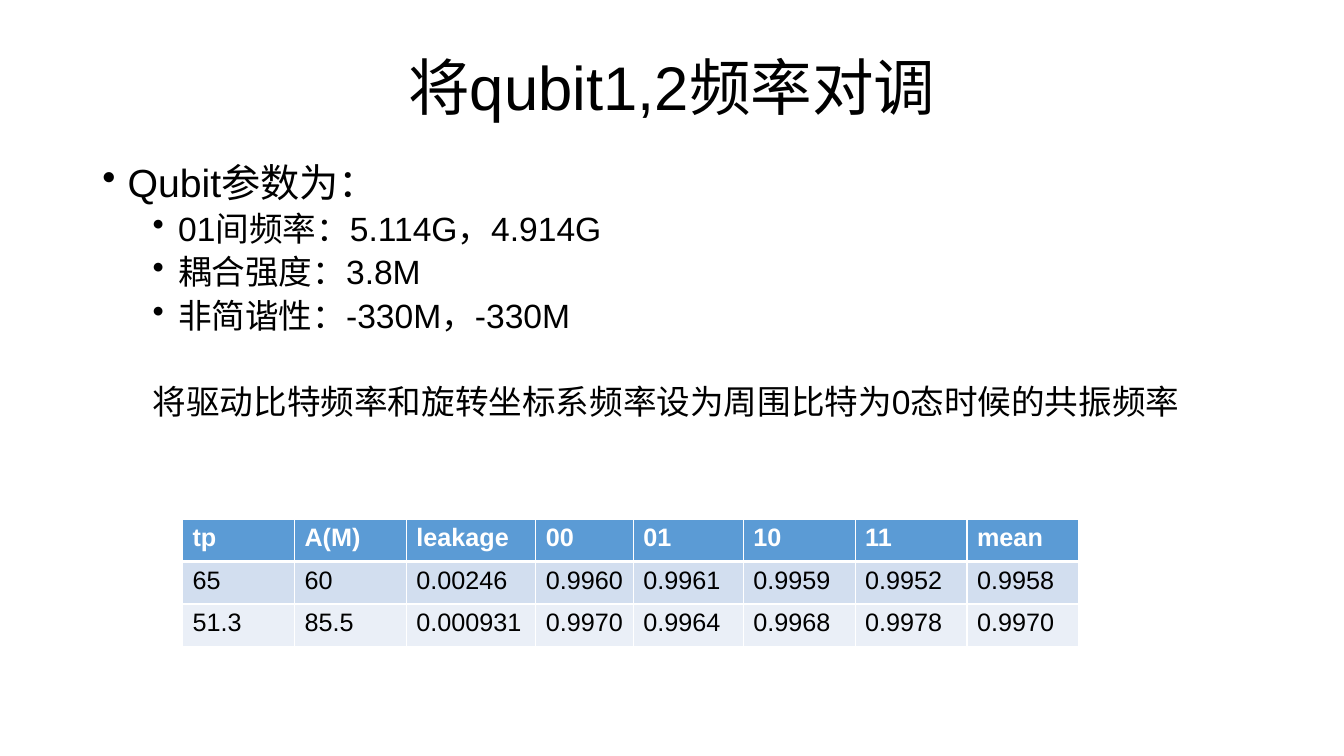
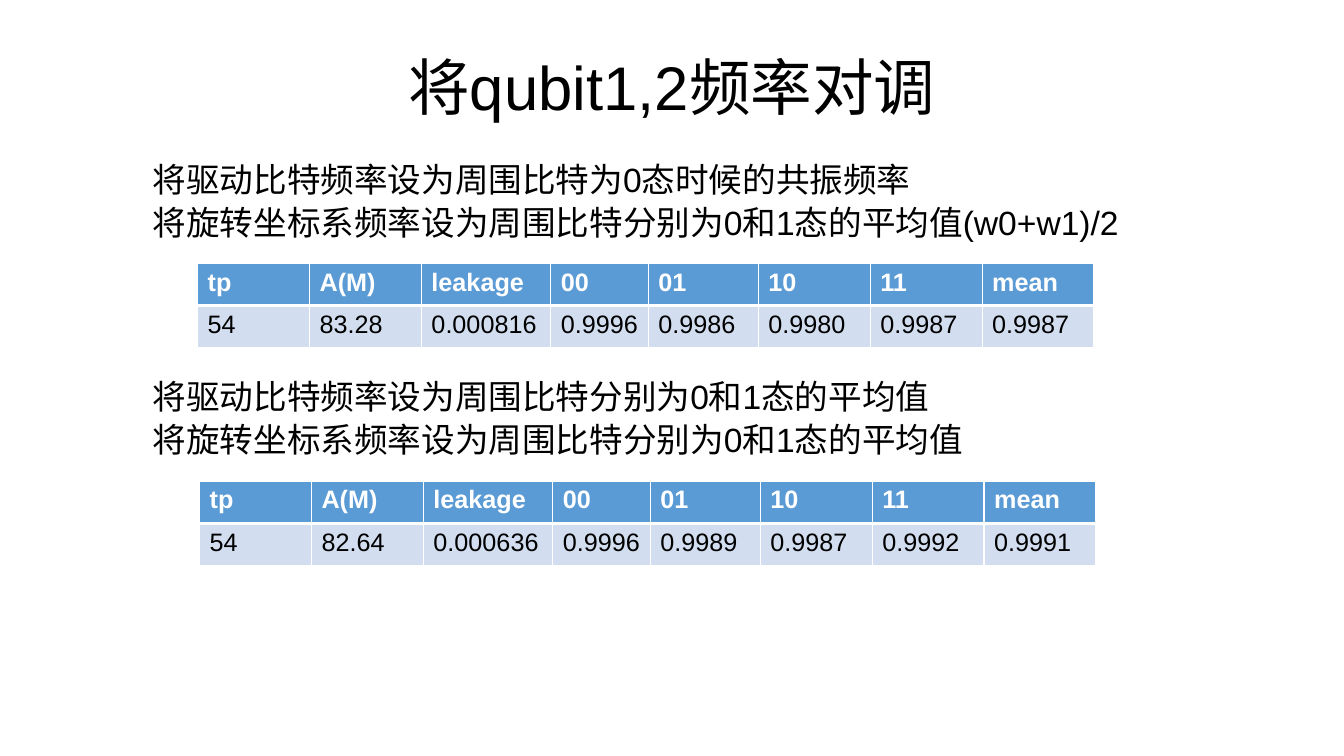
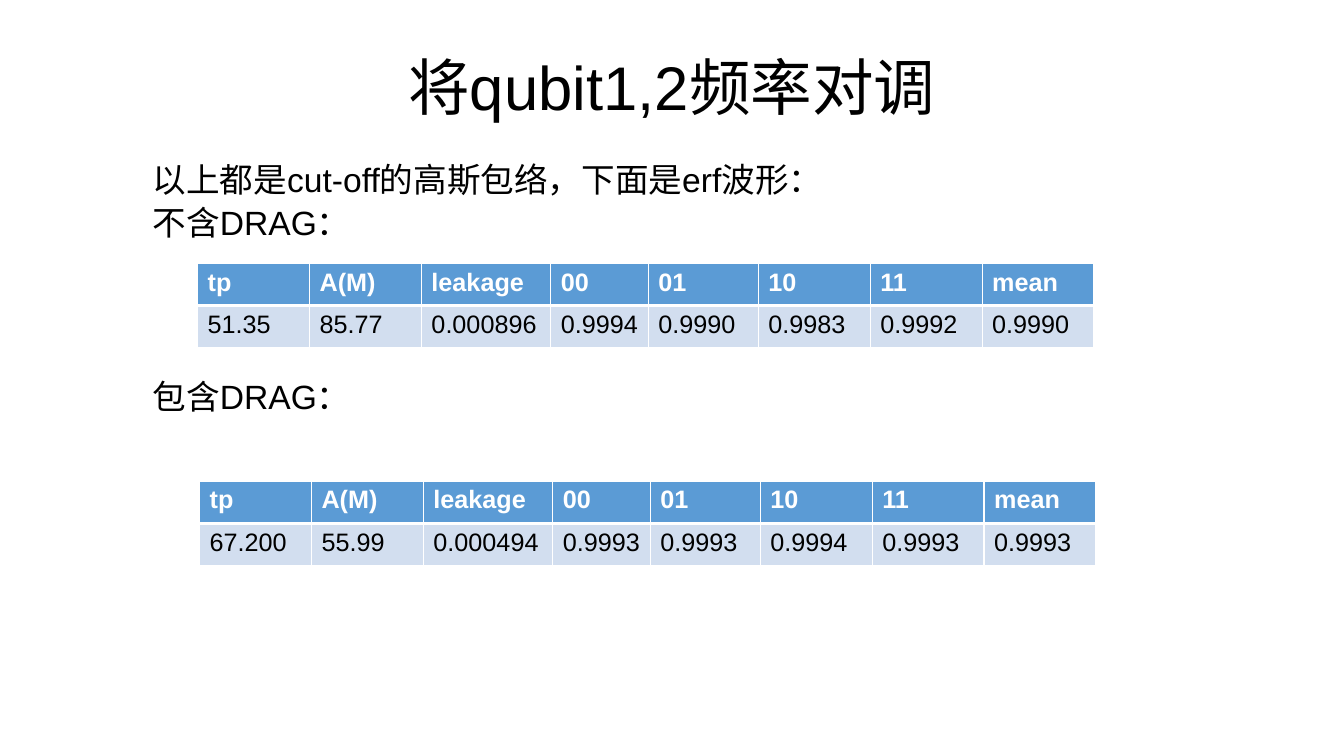
"""Build three slides on swapping the frequencies of qubits 1 and 2."""
import dataclasses

import pptx
import pptx.dml.color
import pptx.enum.lang
import pptx.enum.text
import pptx.oxml.ns
import pptx.util
from lxml import etree

Cm = pptx.util.Cm
Pt = pptx.util.Pt


@dataclasses.dataclass(frozen=True)
class Theme:
    font: str = "Arial"
    ink: str = "000000"
    white: str = "FFFFFF"
    header: str = "5B9BD5"
    bands: tuple = ("D2DEEF", "EAEFF7")
    title_size: int = 44
    lead_size: int = 28
    body_size: int = 24
    cell_size: int = 18
    line_spacing: float = 0.9
    blank_line: int = 31
    thin: int = 1
    thick: int = 3


THEME = Theme()

TITLE = "将qubit1,2频率对调"
TITLE_AREA = (2.33, 1.01, 29.21, 2.57)
BODY_AREA = (2.33, 3.99, 29.21, 13.18)
COLUMNS = {"tp": 2.82, "A(M)": 2.82, "leakage": 3.26, "00": 2.46,
           "01": 2.77, "10": 2.82, "11": 2.82, "mean": 2.82}
ROW_HEIGHT = 1.07
UPPER, LOWER = (4.98, 6.63), (5.03, 12.12)

STYLES = {
    "lead": dict(size=THEME.lead_size, before=10, left=0.64, hanging=0.64, bullet="•"),
    "item": dict(size=THEME.body_size, before=5, level=1, left=1.91, hanging=0.64, bullet="•"),
    "plain": dict(size=THEME.body_size, before=5, level=1, left=1.27),
}

SLIDES = [
    {
        "body": [
            ("lead", "Qubit参数为：", 0),
            ("item", "01间频率：5.114G，4.914G", 0),
            ("item", "耦合强度：3.8M", 0),
            ("item", "非简谐性：-330M，-330M", 0),
            ("plain", "将驱动比特频率和旋转坐标系频率设为周围比特为0态时候的共振频率", 1),
        ],
        "tables": [
            ((4.6, 13.08), [
                ("65", "60", "0.00246", "0.9960", "0.9961", "0.9959", "0.9952", "0.9958"),
                ("51.3", "85.5", "0.000931", "0.9970", "0.9964", "0.9968", "0.9978", "0.9970"),
            ]),
        ],
    },
    {
        "body": [
            ("plain", "将驱动比特频率设为周围比特为0态时候的共振频率", 0),
            ("plain", "将旋转坐标系频率设为周围比特分别为0和1态的平均值(w0+w1)/2", 0),
            ("plain", "将驱动比特频率设为周围比特分别为0和1态的平均值", 3),
            ("plain", "将旋转坐标系频率设为周围比特分别为0和1态的平均值", 0),
        ],
        "tables": [
            (UPPER, [("54", "83.28", "0.000816", "0.9996", "0.9986", "0.9980", "0.9987", "0.9987")]),
            (LOWER, [("54", "82.64", "0.000636", "0.9996", "0.9989", "0.9987", "0.9992", "0.9991")]),
        ],
    },
    {
        "body": [
            ("plain", "以上都是cut-off的高斯包络，下面是erf波形：", 0),
            ("plain", "不含DRAG：", 0),
            ("plain", "包含DRAG：", 3),
        ],
        "tables": [
            (UPPER, [("51.35", "85.77", "0.000896", "0.9994", "0.9990", "0.9983", "0.9992", "0.9990")]),
            (LOWER, [("67.200", "55.99", "0.000494", "0.9993", "0.9993", "0.9994", "0.9993", "0.9993")]),
        ],
    },
]


def rgb(value):
    return pptx.dml.color.RGBColor.from_string(value)


def write(para, text, *, size, color=THEME.ink, bold=False, align=None, spacing=None,
          before=None, level=0, left=None, hanging=0, bullet=None):
    para.alignment = align
    para.line_spacing = spacing
    para.level = level
    if before is not None:
        para.space_before = Pt(before)
    if left is not None:
        properties = para._p.get_or_add_pPr()
        properties.set("marL", str(Cm(left)))
        properties.set("indent", str(-Cm(hanging)))
        if bullet:
            mark = etree.SubElement(properties, pptx.oxml.ns.qn("a:buChar"))
            mark.set("char", bullet)
    span = para.add_run()
    span.text = text
    span.font.name = THEME.font
    span.font.size = Pt(size)
    span.font.bold = bold
    span.font.color.rgb = rgb(color)
    span.font.language_id = pptx.enum.lang.MSO_LANGUAGE_ID.SIMPLIFIED_CHINESE


def add_frame(page, area, anchor):
    frame = page.shapes.add_textbox(*map(Cm, area)).text_frame
    frame.word_wrap = True
    frame.vertical_anchor = anchor
    return frame


def add_title(page):
    frame = add_frame(page, TITLE_AREA, pptx.enum.text.MSO_ANCHOR.MIDDLE)
    write(frame.paragraphs[0], TITLE, size=THEME.title_size,
          align=pptx.enum.text.PP_ALIGN.CENTER, spacing=THEME.line_spacing)


def add_body(page, lines):
    frame = add_frame(page, BODY_AREA, pptx.enum.text.MSO_ANCHOR.TOP)
    for index, (style, text, gap) in enumerate(lines):
        para = frame.add_paragraph() if index else frame.paragraphs[0]
        look = dict(STYLES[style])
        look["before"] += gap * THEME.blank_line
        write(para, text, spacing=THEME.line_spacing, **look)


def set_borders(cell, **widths):
    properties = cell._tc.get_or_add_tcPr()
    for side in "LRTB":
        width = widths.get(side, THEME.thin)
        line = etree.SubElement(properties, pptx.oxml.ns.qn(f"a:ln{side}"), w=str(Pt(width)))
        fill = etree.SubElement(line, pptx.oxml.ns.qn("a:solidFill"))
        etree.SubElement(fill, pptx.oxml.ns.qn("a:srgbClr"), val=THEME.white)


def add_results(page, corner, records):
    rows = [tuple(COLUMNS), *records]
    size = (sum(COLUMNS.values()), ROW_HEIGHT * len(rows))
    table = page.shapes.add_table(len(rows), len(COLUMNS), *map(Cm, corner + size)).table
    for column, width in zip(table.columns, COLUMNS.values()):
        column.width = Cm(width)
    for index, values in enumerate(rows):
        table.rows[index].height = Cm(ROW_HEIGHT)
        heading = index == 0
        shade = THEME.header if heading else THEME.bands[(index - 1) % len(THEME.bands)]
        edges = {0: {"B": THEME.thick}, 1: {"T": THEME.thick}}.get(index, {})
        for position, value in enumerate(values):
            cell = table.cell(index, position)
            set_borders(cell, **edges)
            cell.fill.solid()
            cell.fill.fore_color.rgb = rgb(shade)
            write(cell.text_frame.paragraphs[0], value, size=THEME.cell_size, bold=heading,
                  color=THEME.white if heading else THEME.ink)


def main():
    deck = pptx.Presentation()
    deck.slide_width, deck.slide_height = Cm(33.87), Cm(19.05)
    for content in SLIDES:
        page = deck.slides.add_slide(deck.slide_layouts[6])
        add_title(page)
        add_body(page, content["body"])
        for corner, records in content["tables"]:
            add_results(page, corner, records)
    deck.save("out.pptx")


if __name__ == "__main__":
    main()
